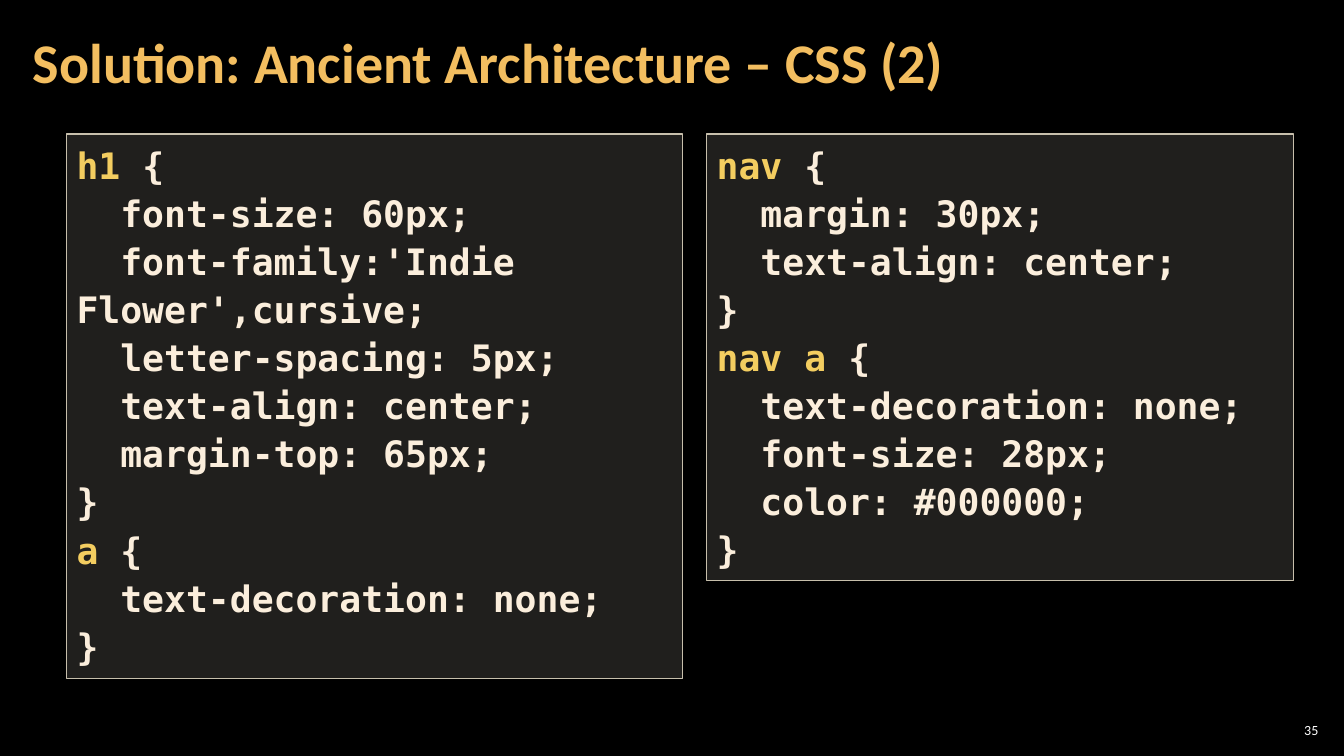
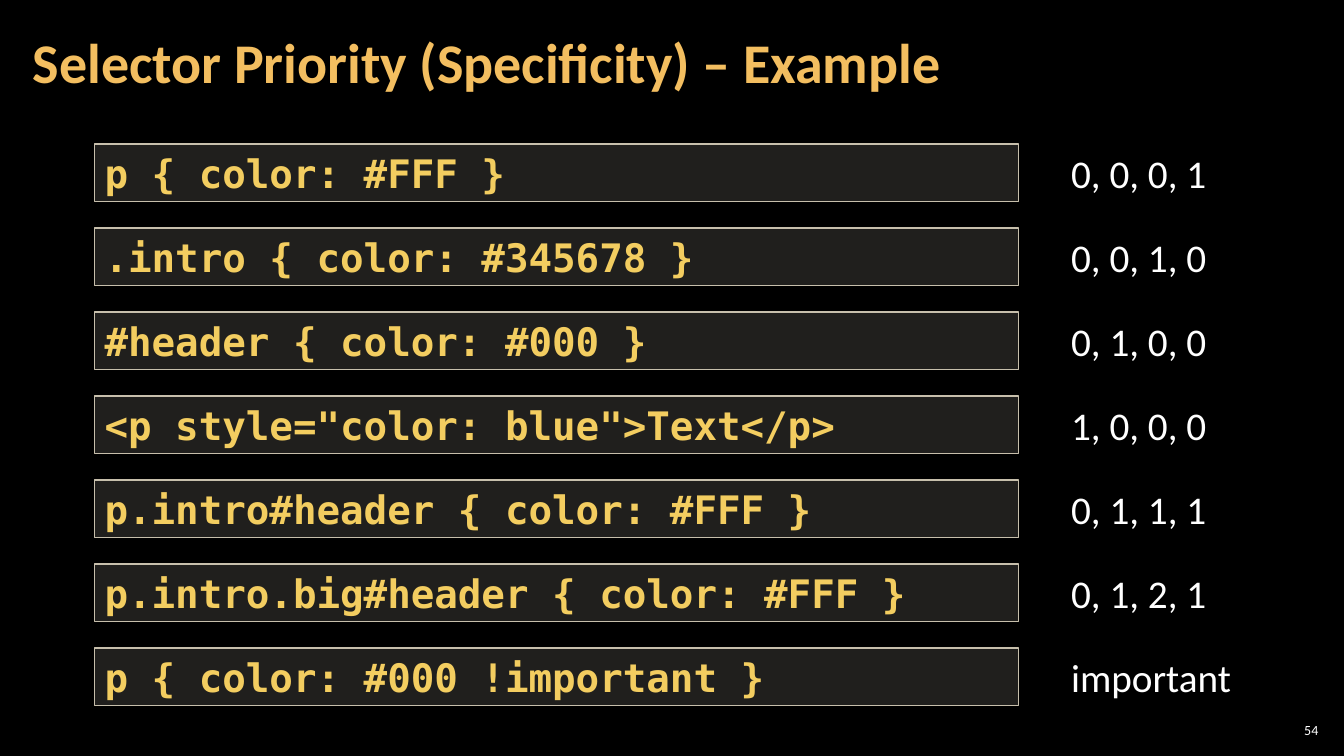
"""Build two dark slides on CSS: a code solution and a selector priority example."""
from dataclasses import dataclass

from lxml.etree import SubElement
from pptx import Presentation
from pptx.dml.color import RGBColor
from pptx.enum.shapes import MSO_SHAPE
from pptx.enum.text import MSO_ANCHOR, MSO_AUTO_SIZE, PP_ALIGN
from pptx.oxml.ns import qn
from pptx.util import Pt

BLACK = RGBColor(0x00, 0x00, 0x00)
WHITE = RGBColor(0xFF, 0xFF, 0xFF)
TITLE_GOLD = RGBColor(0xF3, 0xBE, 0x60)
CODE_GOLD = RGBColor(0xF3, 0xCD, 0x60)
CREAM = RGBColor(0xFB, 0xEE, 0xDC)
PANEL_TINT = RGBColor(0xD9, 0xD5, 0xC7)
PANEL_LINE = RGBColor(0xC7, 0xBF, 0xAC)
PANEL_OPACITY = 15

TEXT_FONT = "Calibri"
CODE_FONT = "DejaVu Sans Mono"

ROW_TOP = 103
ROW_PITCH = 60
ROW_HEIGHT = 41


@dataclass(frozen=True)
class Area:
    """A rectangle in points."""
    left: float
    top: float
    width: float
    height: float

    def lengths(self):
        """Return the four values as slide lengths."""
        return Pt(self.left), Pt(self.top), Pt(self.width), Pt(self.height)


@dataclass(frozen=True)
class CodeBlock:
    """A panel of style rules."""
    area: Area
    code: str


@dataclass(frozen=True)
class PriorityRow:
    """A code sample and its priority."""
    code: str
    priority: str
    priority_width: float = 112


TITLE_AREA = Area(15, 3, 754, 87)
NUMBER_AREA = Area(911, 514, 33.5, 15)

CODE_BLOCKS = (
    CodeBlock(Area(47.6, 95.8, 440, 389), """h1 {
  font-size: 60px;
  font-family:'Indie Flower',cursive;
  letter-spacing: 5px;
  text-align: center;
  margin-top: 65px;
}
a {
  text-decoration: none;
}"""),
    CodeBlock(Area(504.8, 95.8, 419, 319), """nav {
  margin: 30px;
  text-align: center;
}
nav a {
  text-decoration: none;
  font-size: 28px;
  color: #000000;
}"""),
)

PRIORITY_ROWS = (
    PriorityRow("p { color: #FFF }", "0, 0, 0, 1"),
    PriorityRow(".intro { color: #345678 }", "0, 0, 1, 0"),
    PriorityRow("#header { color: #000 }", "0, 1, 0, 0"),
    PriorityRow('<p style="color: blue">Text</p>', "1, 0, 0, 0"),
    PriorityRow("p.intro#header { color: #FFF }", "0, 1, 1, 1"),
    PriorityRow("p.intro.big#header { color: #FFF }", "0, 1, 2, 1"),
    PriorityRow("p { color: #000 !important }", "important", 130),
)


def style_font(font, name: str, size: float, color: RGBColor, bold: bool = False) -> None:
    """Set the face, size, colour and weight of a font."""
    font.name = name
    font.size = Pt(size)
    font.bold = bold
    font.color.rgb = color


def add_label(page, area: Area, text: str, size: float, color: RGBColor, bold: bool = False):
    """Add a one-line text box."""
    box = page.shapes.add_textbox(*area.lengths())
    para = box.text_frame.paragraphs[0]
    para.text = text
    style_font(para.font, TEXT_FONT, size, color, bold)
    return box


def center_with_margins(box, side: float, edge: float) -> None:
    """Wrap text, centre it vertically and set its margins."""
    frame = box.text_frame
    frame.word_wrap = True
    frame.vertical_anchor = MSO_ANCHOR.MIDDLE
    frame.margin_left = frame.margin_right = Pt(side)
    frame.margin_top = frame.margin_bottom = Pt(edge)


def add_page(deck, title: str, number: int):
    """Add a black slide with its title and number."""
    page = deck.slides.add_slide(deck.slide_layouts[6])
    page.background.fill.solid()
    page.background.fill.fore_color.rgb = BLACK

    number_box = add_label(page, NUMBER_AREA, str(number), 10, WHITE)
    center_with_margins(number_box, 2.8, 2.8)
    number_box.text_frame.paragraphs[0].alignment = PP_ALIGN.RIGHT

    title_box = add_label(page, TITLE_AREA, title, 40, TITLE_GOLD, True)
    center_with_margins(title_box, 8.5, 2.8)
    title_box.text_frame.paragraphs[0].line_spacing = 0.9
    return page


def add_panel(page, area: Area):
    """Add a translucent code panel and return its text frame."""
    panel = page.shapes.add_shape(MSO_SHAPE.RECTANGLE, *area.lengths())
    panel.shadow.inherit = False
    panel.fill.solid()
    panel.fill.fore_color.rgb = PANEL_TINT
    tint = panel.element.spPr.find(f"{qn('a:solidFill')}/{qn('a:srgbClr')}")
    SubElement(tint, qn("a:alpha")).set("val", str(PANEL_OPACITY * 1000))
    panel.line.color.rgb = PANEL_LINE
    panel.line.width = Pt(1)
    frame = panel.text_frame
    frame.word_wrap = True
    frame.vertical_anchor = MSO_ANCHOR.TOP
    frame.auto_size = MSO_AUTO_SIZE.SHAPE_TO_FIT_TEXT
    return frame


def add_code_block(page, block: CodeBlock) -> None:
    """Draw a code block with its selectors highlighted."""
    frame = add_panel(page, block.area)
    for index, line in enumerate(block.code.splitlines()):
        para = frame.add_paragraph() if index else frame.paragraphs[0]
        para.alignment = PP_ALIGN.LEFT
        para.line_spacing = 1.1
        style_font(para.font, CODE_FONT, 26, CREAM, True)
        selector, brace, _ = line.partition("{")
        if brace:
            span = para.add_run()
            span.text = selector
            span.font.color.rgb = CODE_GOLD
        para.add_run().text = brace or line


def add_priority_row(page, row: PriorityRow, top: float) -> None:
    """Draw a code sample with its priority beside it."""
    para = add_panel(page, Area(67.6, top, 660, ROW_HEIGHT)).paragraphs[0]
    para.text = row.code
    para.alignment = PP_ALIGN.LEFT
    style_font(para.font, CODE_FONT, 28, CODE_GOLD, True)

    area = Area(758, top, row.priority_width, ROW_HEIGHT)
    frame = add_label(page, area, row.priority, 28, WHITE).text_frame
    frame.word_wrap = False
    frame.auto_size = MSO_AUTO_SIZE.SHAPE_TO_FIT_TEXT


def main() -> None:
    """Build and save the deck."""
    deck = Presentation()
    deck.slide_width, deck.slide_height = Pt(960), Pt(540)

    page = add_page(deck, "Solution: Ancient Architecture – CSS (2)", 35)
    for block in CODE_BLOCKS:
        add_code_block(page, block)

    page = add_page(deck, "Selector Priority (Specificity) – Example", 54)
    for index, row in enumerate(PRIORITY_ROWS):
        add_priority_row(page, row, ROW_TOP + index * ROW_PITCH)

    deck.save("out.pptx")


if __name__ == "__main__":
    main()
